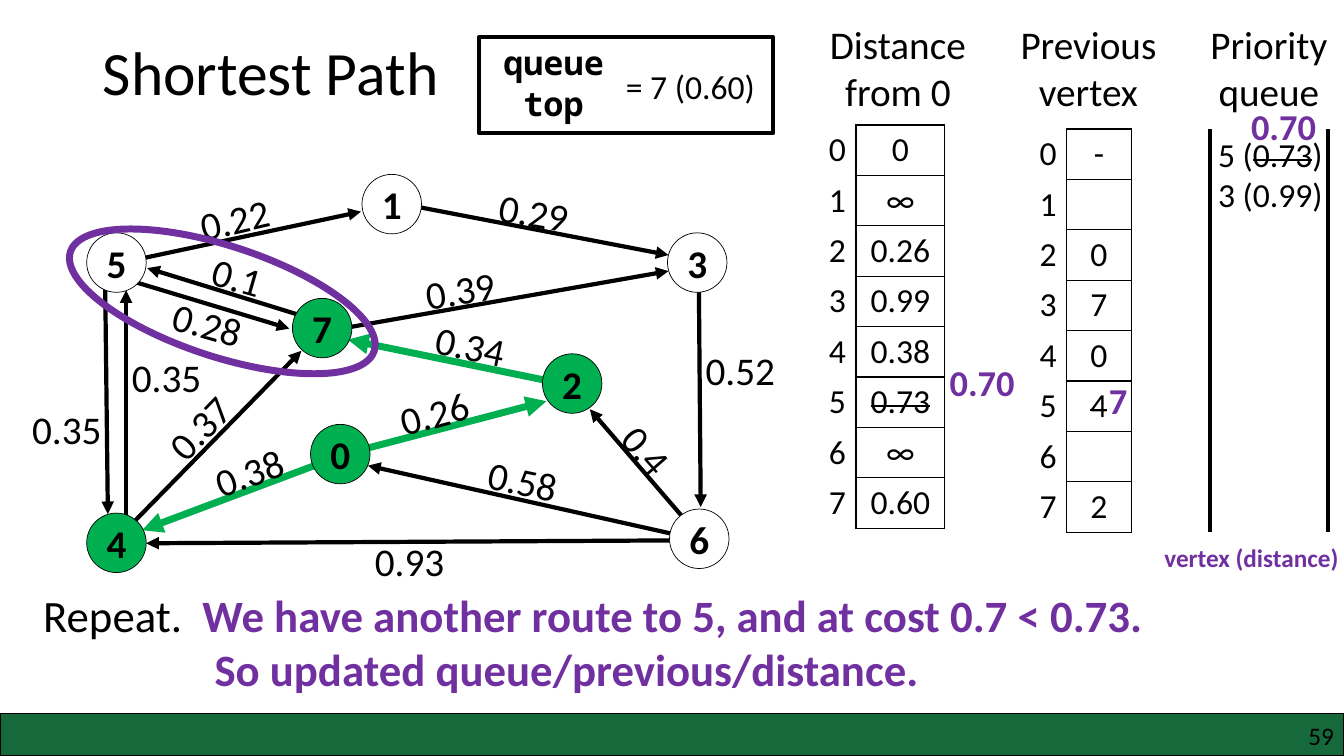
"""Build the shortest-path slide: weighted graph, distance tables and priority queue."""
from dataclasses import dataclass

from lxml.etree import SubElement
from pptx import Presentation
from pptx.dml.color import RGBColor
from pptx.enum.shapes import MSO_CONNECTOR as Link, MSO_SHAPE as Preset
from pptx.enum.text import MSO_ANCHOR as Anchor, PP_ALIGN as Align
from pptx.oxml.ns import qn
from pptx.util import Inches, Pt


@dataclass(frozen=True)
class Theme:
    black: RGBColor = RGBColor(0, 0, 0)
    white: RGBColor = RGBColor(255, 255, 255)
    green: RGBColor = RGBColor(0x00, 0xB0, 0x50)
    purple: RGBColor = RGBColor(0x70, 0x30, 0xA0)
    footer: RGBColor = RGBColor(0x15, 0x69, 0x3B)
    sans: str = "Calibri"
    mono: str = "Noto Sans Mono"
    title: int = 44
    message: int = 32
    heading: int = 28
    update: int = 26
    body: int = 24
    note: int = 18


@dataclass(frozen=True)
class Vertex:
    name: str
    left: float
    top: float
    done: bool = False


@dataclass(frozen=True)
class Edge:
    start: tuple
    end: tuple
    cost: str
    label: tuple
    turn: int = 0
    chosen: bool = False
    label_width: float = 1.12


@dataclass(frozen=True)
class Column:
    heading: str
    heading_left: float
    left: float
    top: float
    widths: tuple
    values: tuple


@dataclass(frozen=True)
class Note:
    text: str
    box: tuple
    size: int
    color: RGBColor = Theme.black
    bold: bool = False
    align: Align = Align.LEFT
    font: str = Theme.sans
    turn: int = 0


THEME = Theme()
NODE_SIZE = 0.59
STRUCK_ROW = 5
ROW_HEIGHT = 0.5
NO_STYLE = "{2D5ABB26-0587-4C30-8999-92F81FD0307C}"

VERTICES = (
    Vertex("0", 3.08, 4.21, True), Vertex("1", 3.59, 1.73),
    Vertex("2", 5.38, 3.51, True), Vertex("3", 6.62, 2.31),
    Vertex("4", 0.86, 5.09, True), Vertex("5", 0.86, 2.31),
    Vertex("6", 6.64, 5.05), Vertex("7", 2.9, 2.96, True),
)
EDGES = (
    Edge((6.97, 5.36), (5.85, 4.06), "0.4", (6.04, 4.24), 49, label_width=0.85),
    Edge((6.91, 5.35), (3.65, 4.62), "0.58", (4.74, 4.51), 12),
    Edge((6.93, 5.36), (1.45, 5.39), "0.93", (3.62, 5.28)),
    Edge((3.4, 4.51), (5.42, 3.98), "0.26", (3.86, 3.78), 345, True),
    Edge((3.41, 4.51), (1.41, 5.26), "0.38", (2.02, 4.36), 340, True),
    Edge((5.69, 3.83), (3.45, 3.37), "0.34", (4.22, 3.17), 12, True),
    Edge((1.13, 5.38), (2.99, 3.48), "0.37", (1.5, 3.87), 314),
    Edge((3.27, 3.28), (6.63, 2.69), "0.39", (4.12, 2.57), 351),
    Edge((6.93, 2.65), (6.95, 5.03), "0.52", (6.9, 3.39)),
    Edge((3.18, 3.19), (1.46, 2.66), "0.1", (2, 2.52), 16),
    Edge((1.08, 2.72), (2.87, 3.26), "0.28", (1.61, 2.96), 16),
    Edge((1.04, 2.53), (1.07, 5.1), "0.35", (0.22, 3.97)),
    Edge((1.25, 5.29), (1.25, 2.88), "0.35", (1.21, 3.46)),
    Edge((1.19, 2.61), (3.58, 2.1), "0.22", (1.88, 1.86), 347),
    Edge((3.92, 2.01), (6.63, 2.53), "0.29", (4.85, 1.84), 10),
)
COLUMNS = (
    Column("Distance from 0", 8.05, 7.86, 1.24, (0.63, 0.88),
           ("0", "∞", "0.26", "0.99", "0.38", "0.73", "∞", "0.60")),
    Column("Previous vertex", 9.94, 9.94, 1.28, (0.64, 0.64),
           ("-", "", "0", "7", "0", "4", "", "2")),
)
NOTES = (
    Note("queue\ntop", (4.82, 0.37, 1.34, 0.91), THEME.body, bold=True,
         align=Align.CENTER, font=THEME.mono),
    Note("= 7 (0.60)", (6.11, 0.6, 1.86, 0.5), THEME.body),
    Note("0.70", (12.31, 0.98, 1.04, 0.54), THEME.update, THEME.purple, True),
    Note("7", (10.9, 3.7, 1.04, 0.54), THEME.update, THEME.purple, True),
    Note("0.70", (9.32, 3.52, 1.04, 0.54), THEME.update, THEME.purple, True),
    Note("vertex (distance)", (11.45, 5.33, 2.04, 0.4), THEME.note, THEME.purple, True),
)


def style(font, size: int, color: RGBColor = THEME.black, bold: bool = False,
          name: str = THEME.sans) -> None:
    font.name, font.size, font.bold = name, Pt(size), bold
    font.color.rgb = color


def strike(run) -> None:
    run._r.get_or_add_rPr().set("strike", "sngStrike")


def add_note(slide, note: Note):
    box = slide.shapes.add_textbox(*map(Inches, note.box))
    box.rotation = note.turn
    frame = box.text_frame
    frame.word_wrap = True
    frame.text = note.text
    for line in frame.paragraphs:
        line.alignment = note.align
        style(line.font, note.size, note.color, note.bold, note.font)
    return frame


def add_outline(slide, preset, box: tuple, color: RGBColor, width: float,
                fill: RGBColor | None = None):
    shape = slide.shapes.add_shape(preset, *map(Inches, box))
    shape.shadow.inherit = False
    shape.line.color.rgb, shape.line.width = color, Pt(width)
    if fill is None:
        shape.fill.background()
    else:
        shape.fill.solid()
        shape.fill.fore_color.rgb = fill
    return shape


def add_line(slide, start: tuple, end: tuple, color: RGBColor, width: float,
             arrow: bool = False) -> None:
    line = slide.shapes.add_connector(Link.STRAIGHT, *map(Inches, start + end))
    line.line.color.rgb, line.line.width = color, Pt(width)
    if arrow:
        SubElement(line.line._get_or_add_ln(), qn("a:tailEnd"), type="triangle")
    SubElement(line._element.spPr, qn("a:effectLst"))


def add_edge(slide, edge: Edge) -> None:
    color, width = (THEME.green, 5) if edge.chosen else (THEME.black, 3)
    add_line(slide, edge.start, edge.end, color, width, arrow=True)


def add_vertex(slide, vertex: Vertex) -> None:
    circle = add_outline(slide, Preset.OVAL, (vertex.left, vertex.top, NODE_SIZE, NODE_SIZE),
                         THEME.black, 0.5, THEME.green if vertex.done else THEME.white)
    frame = circle.text_frame
    frame.margin_left = frame.margin_right = frame.margin_top = frame.margin_bottom = 0
    frame.text = vertex.name
    frame.paragraphs[0].alignment = Align.CENTER
    style(frame.paragraphs[0].font, THEME.heading, bold=True)


def fill_cell(cell, text: str, align: Align, sides: str) -> None:
    cell.margin_top = cell.margin_bottom = 0
    cell.vertical_anchor = Anchor.MIDDLE
    cell.text = text
    cell.text_frame.paragraphs[0].alignment = align
    style(cell.text_frame.paragraphs[0].font, THEME.body)
    for side in sides:
        border = SubElement(cell._tc.get_or_add_tcPr(), qn(f"a:ln{side}"), w=str(Pt(1)))
        SubElement(SubElement(border, qn("a:solidFill")), qn("a:srgbClr"), val=str(THEME.black))
    cell.fill.background()


def add_column(slide, column: Column) -> None:
    add_note(slide, Note(column.heading, (column.heading_left, 0.15, 1.71, 1.04),
                         THEME.heading, align=Align.CENTER))
    count = len(column.values)
    table = slide.shapes.add_table(count, 2, *map(Inches, (
        column.left, column.top, sum(column.widths), count * ROW_HEIGHT))).table
    table.first_row = table.horz_banding = False
    table._tbl.tblPr[0].text = NO_STYLE
    for part, width in zip(table.columns, column.widths):
        part.width = Inches(width)
    for index, value in enumerate(column.values):
        table.rows[index].height = Inches(ROW_HEIGHT)
        fill_cell(table.cell(index, 0), str(index), Align.RIGHT, "R")
        fill_cell(table.cell(index, 1), value, Align.CENTER, "LRTB")
    strike(table.cell(STRUCK_ROW, 1).text_frame.paragraphs[0].runs[0])


def add_queue(slide) -> None:
    add_note(slide, Note("Priority queue", (11.73, 0.15, 1.71, 1.04),
                         THEME.heading, align=Align.CENTER))
    entries = add_note(slide, Note("5 (\n3 (0.99)", (11.85, 1.28, 1.5, 0.91),
                                   THEME.body, align=Align.CENTER))
    first = entries.paragraphs[0]
    for text in ("0.73", ")"):
        first.add_run().text = text
    strike(first.runs[1])
    for x in (12, 13.17):
        add_line(slide, (x, 1.28), (x, 5.28), THEME.black, 3)


def add_message(slide) -> None:
    frame = add_note(slide, Note("Repeat.\t\nSo updated queue/previous/distance.",
                                 (0.33, 5.78, 12.63, 1.18), THEME.message))
    repeat, update = frame.paragraphs
    stops = repeat._p.get_or_add_pPr()
    tabs = stops.makeelement(qn("a:tabLst"), {})
    SubElement(tabs, qn("a:tab"), pos=str(Inches(1.58)), algn="l")
    stops.insert(0, tabs)
    route = repeat.add_run()
    route.text = "We have another route to 5, and at cost 0.7 < 0.73."
    style(route.font, THEME.message, THEME.purple, True)
    update._p.get_or_add_pPr().set("marL", str(Inches(1.7)))
    style(update.font, THEME.message, THEME.purple, True)


def add_title(slide) -> None:
    title = slide.shapes.title
    title.left, title.top, title.width, title.height = map(Inches, (0.92, 0.02, 11.5, 1.45))
    title.text_frame.text = "Shortest Path"
    title.text_frame.vertical_anchor = Anchor.MIDDLE
    line = title.text_frame.paragraphs[0]
    line.alignment, line.line_spacing = Align.LEFT, 0.9
    style(line.font, THEME.title)


def main() -> None:
    deck = Presentation()
    deck.slide_width, deck.slide_height = Inches(13.33), Inches(7.5)
    slide = deck.slides.add_slide(deck.slide_layouts[5])
    add_title(slide)
    add_queue(slide)
    add_message(slide)
    add_outline(slide, Preset.RECTANGLE, (4.75, 0.37, 2.92, 0.95), THEME.black, 3)
    for edge in EDGES:
        add_edge(slide, edge)
    for vertex in VERTICES:
        add_vertex(slide, vertex)
    for edge in EDGES:
        add_note(slide, Note(edge.cost, (*edge.label, edge.label_width, 0.58),
                             THEME.heading, turn=edge.turn))
    highlight = add_outline(slide, Preset.OVAL, (0.62, 2.44, 3.17, 1.1), THEME.purple, 5)
    highlight.rotation = 18.1
    for column in COLUMNS:
        add_column(slide, column)
    for note in NOTES:
        add_note(slide, note)
    add_outline(slide, Preset.RECTANGLE, (0, 7.08, 13.33, 0.42), THEME.black, 1, THEME.footer)
    number = add_note(slide, Note("59", (12.77, 7.15, 0.46, 0.3), THEME.note, align=Align.RIGHT))
    number.margin_left = number.margin_right = number.margin_top = number.margin_bottom = 0
    deck.save("out.pptx")


if __name__ == "__main__":
    main()
